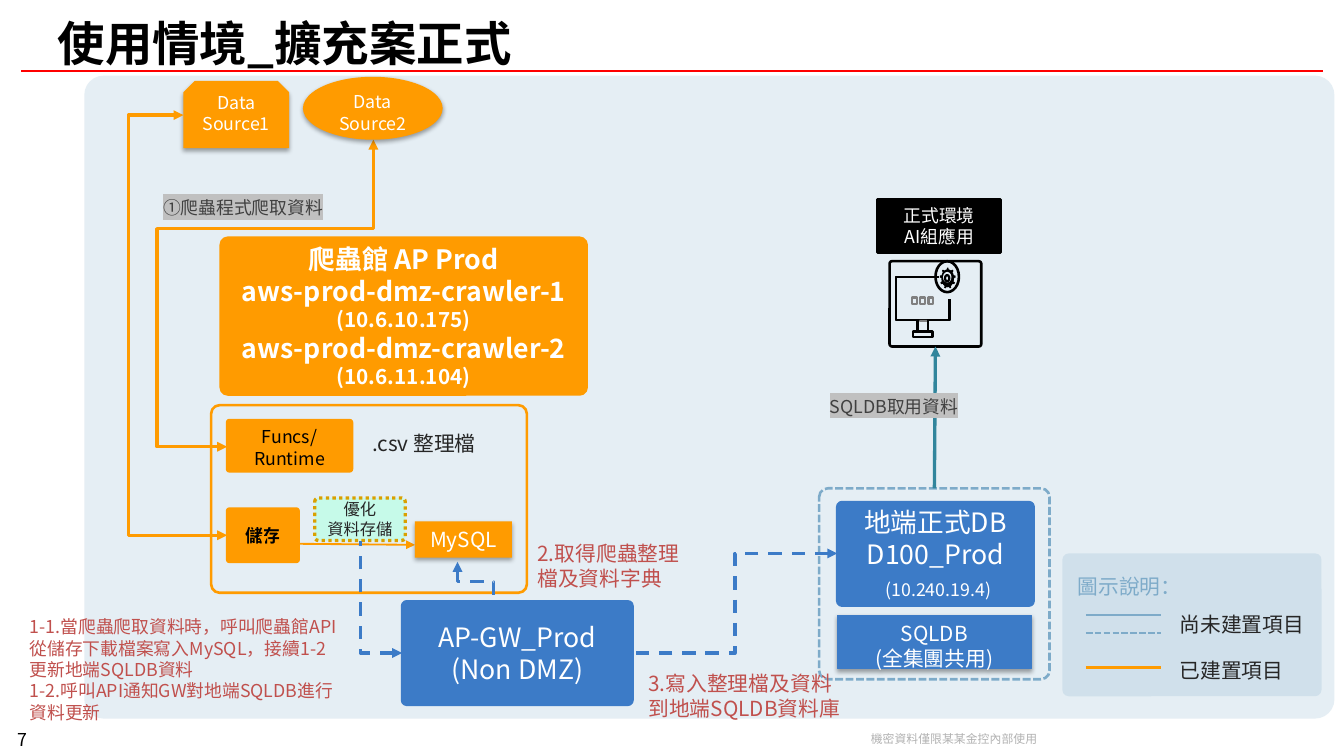
from lxml import etree
from pptx import Presentation
from pptx.dml.color import RGBColor
from pptx.enum.dml import MSO_LINE
from pptx.enum.shapes import MSO_CONNECTOR, MSO_SHAPE
from pptx.enum.text import MSO_ANCHOR, PP_ALIGN
from pptx.oxml.ns import qn
from pptx.util import Inches, Pt

UNIT = Inches(0.1)
COLUMNS, ROWS = 126, 70.9
FONT = "Noto Sans CJK SC"
ROUND, RECT, OVAL = MSO_SHAPE.ROUNDED_RECTANGLE, MSO_SHAPE.RECTANGLE, MSO_SHAPE.OVAL
SNIP, GEAR = MSO_SHAPE.SNIP_2_SAME_RECTANGLE, MSO_SHAPE.GEAR_9
STRAIGHT, ELBOW = MSO_CONNECTOR.STRAIGHT, MSO_CONNECTOR.ELBOW
DASH, SYS_DASH, DOT = MSO_LINE.DASH, MSO_LINE.SQUARE_DOT, MSO_LINE.ROUND_DOT
LEFT, CENTER = PP_ALIGN.LEFT, PP_ALIGN.CENTER
TOP, MIDDLE, BOTTOM = MSO_ANCHOR.TOP, MSO_ANCHOR.MIDDLE, MSO_ANCHOR.BOTTOM
BLACK, WHITE = RGBColor(0, 0, 0), RGBColor(255, 255, 255)
RED, BRICK = RGBColor(255, 0, 0), RGBColor(0xC0, 0x50, 0x4D)
ORANGE, GOLD = RGBColor(0xFF, 0x9B, 0x00), RGBColor(0xD9, 0xA0, 0x00)
BLUE, STEEL = RGBColor(0x3C, 0x7B, 0xC7), RGBColor(0x7E, 0xAB, 0xC9)
PALE, MINT = RGBColor(0xE5, 0xEE, 0xF4), RGBColor(0xC6, 0xFA, 0xE9)
TEAL, INK = RGBColor(0x31, 0x85, 0x9C), RGBColor(0x26, 0x26, 0x26)
SLATE, GRAY = RGBColor(0x40, 0x40, 0x40), RGBColor(0x80, 0x80, 0x80)
FOOTER, MARKER = RGBColor(0xB2, 0xB2, 0xB2), RGBColor(0xC0, 0xC0, 0xC0)


def units(*values):
    """Turn grid units into EMU."""
    return [round(v * UNIT) for v in values]


def within(box, left, top, width, height):
    """Place a cell relative to the corner of a box."""
    return box[0] + left, box[1] + top, width, height


def add_color(parent, tag, color, alpha=None):
    """Append a colour-holding element to a parent."""
    holder = etree.SubElement(parent, qn(tag))
    value = etree.SubElement(holder, qn("a:srgbClr"), val=str(color))
    if alpha:
        etree.SubElement(value, qn("a:alpha"), val=str(alpha))
    return holder


def write(frame, paragraphs, color, size=12, bold=False, align=CENTER, anchor=TOP, wrap=True, mark=None):
    """Fill a text frame; a paragraph is a text or a list of (text, size) runs."""
    frame.word_wrap, frame.vertical_anchor = wrap, anchor
    for i, content in enumerate(paragraphs):
        paragraph = frame.add_paragraph() if i else frame.paragraphs[0]
        paragraph.alignment = align
        for text, points in [(content, size)] if isinstance(content, str) else content:
            for j, line in enumerate(text.split("\n")):
                if j:
                    paragraph.add_line_break()
                if not line:
                    continue
                run = paragraph.add_run()
                run.text = line
                run.font.size, run.font.bold = Pt(points), bold
                run.font.color.rgb = color
                props = run.font._element
                if mark:
                    add_color(props, "a:highlight", mark)
                run.font.name = FONT
                etree.SubElement(props, qn("a:ea"), typeface=FONT)


def label(slide, cell, paragraphs, color, size=12, **style):
    """Add a text box."""
    write(slide.shapes.add_textbox(*units(*cell)).text_frame, paragraphs, color, size, **style)


def outline(shape, color, width, dash=None):
    """Set the line of a shape or connector."""
    shape.line.color.rgb, shape.line.width = color, Pt(width)
    if dash:
        shape.line.dash_style = dash


def block(slide, kind, cell, fill=None, line=None, width=1.75, dash=None, radius=0.045, shadow=False):
    """Add a preset shape with its fill, line and optional shadow."""
    shape = slide.shapes.add_shape(kind, *units(*cell))
    shape.shadow.inherit = False
    if kind == ROUND:
        shape.adjustments[0] = radius
    if fill is None:
        shape.fill.background()
    else:
        shape.fill.solid()
        shape.fill.fore_color.rgb = fill
    if line is None:
        shape.line.fill.background()
    else:
        outline(shape, line, width, dash)
    if shadow:
        effects = shape._element.spPr.find(qn("a:effectLst"))
        cast = add_color(effects, "a:outerShdw", BLACK, 35000)
        for key, value in (("blurRad", Pt(3.1)), ("dist", Pt(1.8)), ("dir", 5400000), ("rotWithShape", 0)):
            cast.set(key, str(value))
    return shape


def link(slide, start, end, color, width, dash=None, ends=(), bends=None, adjust=(), upright=False):
    """Add a straight or bent connector; upright ones leave vertically."""
    (x1, y1), (x2, y2) = start, end
    if upright:
        cx, cy, long, wide = (x1 + x2) / 2, (y1 + y2) / 2, abs(y2 - y1), abs(x2 - x1)
        corners = cx - long / 2, cy - wide / 2, cx + long / 2, cy + wide / 2
    else:
        corners = x1, y1, x2, y2
    wire = slide.shapes.add_connector(ELBOW if bends else STRAIGHT, *units(*corners))
    props = wire._element.spPr
    if upright:
        props.xfrm.set("rot", "5400000" if x2 < x1 else "16200000")
        if x2 > x1:
            props.xfrm.set("flipH", "1")
    if bends:
        geometry = props.find(qn("a:prstGeom"))
        geometry.set("prst", f"bentConnector{bends}")
        guides = geometry.find(qn("a:avLst"))
        for i, share in enumerate(adjust, 1):
            etree.SubElement(guides, qn("a:gd"), name=f"adj{i}", fmla=f"val {round(share * 100000)}")
    outline(wire, color, width, dash)
    for tag in ends:
        etree.SubElement(props.find(qn("a:ln")), qn(tag), type="triangle")
    etree.SubElement(props, qn("a:effectLst"))
    return wire


def heading(slide, box):
    """Place the title, its red rule and the footer texts."""
    title = slide.shapes.title
    title.left, title.top, title.width, title.height = units(*within(box, 4.4, 0.7, 117.2, 6.6))
    write(title.text_frame, ["使用情境_擴充案正式"], BLACK, 32, bold=True, align=LEFT, anchor=MIDDLE)
    link(slide, (box[0] + 2, box[1] + 6.7), (box[0] + 124, box[1] + 6.7), RED, 1.25)
    label(slide, within(box, 0, 68.2, 4.2, 2.6), ["7"], BLACK, anchor=BOTTOM, wrap=False)
    label(slide, within(box, 80.5, 68.1, 17.9, 2.3), ["機密資料僅限某某金控內部使用"], FOOTER, 8, anchor=MIDDLE, wrap=False)


def legend(slide, box):
    """Place the key of line styles."""
    panel = block(slide, ROUND, box, STEEL)
    tint = panel._element.spPr.find(qn("a:solidFill"))[0]
    etree.SubElement(tint, qn("a:alpha"), val="20000")
    label(slide, within(box, 0.4, 1.4, 11.8, 5.7), ["圖示說明："], STEEL, 14, wrap=False)
    for top, color, dash in ((5.8, STEEL, None), (7.5, STEEL, SYS_DASH), (10.7, ORANGE, None)):
        x, y = box[0] + 2.2, box[1] + top
        link(slide, (x, y), (x + 7, y), color, 1.5, dash)
    for top, meaning in ((5, "尚未建置項目"), (9.3, "已建置項目")):
        label(slide, within(box, 10, top, 14.3, 3.4), [meaning], INK, 14, align=LEFT)


def crawler(slide, box):
    """Place the data sources, crawler hosts and storage."""
    x, y = box[:2]
    both = "a:headEnd", "a:tailEnd"
    link(slide, (x + 23, y + 5.9), (x + 9.3, y + 34.7), ORANGE, 2.25, ends=both, bends=4, adjust=(0.29, 1.48), upright=True)
    functions = block(slide, ROUND, within(box, 9.3, 32.2, 11.7, 4.8), ORANGE, ORANGE)
    write(functions.text_frame, ["Funcs/\nRuntime"], BLACK)
    storage = block(slide, ROUND, within(box, 9.3, 40.5, 6.7, 5), ORANGE, ORANGE)
    write(storage.text_frame, ["儲存"], BLACK, bold=True, anchor=MIDDLE)
    hosts = block(slide, ROUND, within(box, 8.7, 15.1, 34.3, 14.7), ORANGE, ORANGE)
    write(hosts.text_frame, [[("爬蟲館 AP Prod\naws-prod-dmz-crawler-1 ", 18), ("(10.6.10.175)\n", 14),
                              ("aws-prod-dmz-crawler-2 ", 18), ("(10.6.11.104)", 14)]], WHITE, bold=True, anchor=MIDDLE)
    for kind, cell, source in ((OVAL, (16.4, 0, 13.1, 5.9), "Source2"), (SNIP, (5.2, 0.4, 9.9, 6.3), "Source1")):
        write(block(slide, kind, within(box, *cell), ORANGE, shadow=True).text_frame, ["Data", source], WHITE)
    link(slide, (x + 5.2, y + 3.6), (x + 9.3, y + 43), ORANGE, 2.25, ends=both, bends=3, adjust=(-1.26,))
    label(slide, within(box, 2.3, 10.8, 17.9, 3), ["①爬蟲程式爬取資料"], SLATE, align=LEFT, mark=MARKER)
    for start, end in (((12.7, 40.5), (12.7, 43.9)), ((16.1, 43.8), (26.9, 43.9))):
        link(slide, (x + start[0], y + start[1]), (x + end[0], y + end[1]), ORANGE, 1.25, ends=["a:tailEnd"])
    database = block(slide, RECT, within(box, 26.9, 41.7, 9.1, 3.4), ORANGE, shadow=True)
    write(database.text_frame, ["MySQL"], WHITE, 14)
    tuning = block(slide, ROUND, within(box, 17.5, 39.5, 8.5, 4), MINT, GOLD, 2.25, DOT, 0.09)
    write(tuning.text_frame, ["優化", "資料存儲"], INK, 11, anchor=MIDDLE)
    block(slide, ROUND, within(box, 7.8, 30.8, 29.6, 17.6), line=ORANGE)
    label(slide, within(box, 21.6, 32.7, 12.3, 3.4), [".csv 整理檔"], INK, 14)


def local_database(slide, box):
    """Place the on-premises databases and return their frame."""
    frame = block(slide, ROUND, box, line=STEEL, dash=SYS_DASH)
    server = block(slide, ROUND, within(box, 1.7, 1.3, 18.4, 9.7), BLUE, BLUE)
    write(server.text_frame, [[("地端正式DB\nD100_Prod\n ", 18), ("(10.240.19.4)", 12)]], WHITE, anchor=MIDDLE)
    shared = block(slide, RECT, within(box, 1.7, 11.9, 18.2, 5), BLUE, BLUE, 0.75, shadow=True)
    write(shared.text_frame, ["SQLDB", "(全集團共用)"], WHITE, 14)
    return frame


def ai_application(slide, box):
    """Place the application label and computer icon and return the icon frame."""
    frame = block(slide, ROUND, within(box, 1.1, 5.8, 8.6, 8), line=BLACK, radius=0.03)
    caption = block(slide, RECT, within(box, 0, 0, 11.5, 5), BLACK, BLACK, 2)
    write(caption.text_frame, ["正式環境\nAI組應用"], WHITE)
    strokes = (((4.1, 7.3), (1.6, 7.3), (1.6, 11.7), (5.7, 11.7)), ((6.1, 11.7), (6.9, 11.7), (6.9, 8.8)),
               ((5.3, 7.7), (1.9, 7.7), (1.9, 11), (6.5, 11), (6.5, 8.9)), ((4.5, 7.3), (5.3, 7.3)),
               ((3.9, 11.8), (3.8, 12.3)), ((4.5, 11.8), (4.6, 12.3)))
    for stroke in strokes:
        points = [(box[0] + px, box[1] + py) for px, py in stroke]
        builder = slide.shapes.build_freeform(*points[0], scale=UNIT)
        builder.add_line_segments(points[1:], close=False)
        edge = builder.convert_to_shape()
        edge.shadow.inherit = False
        edge.fill.background()
        outline(edge, BLACK, 1.75)
    block(slide, RECT, within(box, 3.3, 12.4, 1.8, 0.5), line=BLACK)
    block(slide, RECT, within(box, 3.9, 11.3, 0.7, 0.2), GRAY)
    for key in range(3):
        block(slide, RECT, within(box, 3.2 + 0.78 * key, 9.2, 0.45, 0.6), line=GRAY, width=1.5)
    block(slide, OVAL, within(box, 5.4, 5.8, 2.2, 2.9), line=BLACK)
    block(slide, GEAR, within(box, 5.8, 6.4, 1.5, 2), BLACK)
    block(slide, OVAL, within(box, 6.1, 6.8, 0.8, 1), PALE)
    block(slide, OVAL, within(box, 6.3, 7.1, 0.4, 0.6), line=BLACK, width=1.5)
    return frame


def gateway(slide, box):
    """Place the gateway and the dashed flows around it."""
    x, y, width, height = box
    middle = y + height / 2
    head = ["a:headEnd"]
    link(slide, (x, middle), (x - 3.9, y - 5.7), BLUE, 2.25, DASH, head, bends=2)
    link(slide, (x + 40.8, y - 4.5), (x + width, middle), BLUE, 2.25, DASH, head, bends=3, adjust=(0.5,))
    link(slide, (x + 5.2, y - 3.7), (x + 8.6, y), BLUE, 2.25, DASH, head, bends=3, adjust=(0.5,), upright=True)
    write(block(slide, ROUND, box, BLUE, BLUE).text_frame, ["AP-GW_Prod\n(Non DMZ)"], WHITE, 18, anchor=MIDDLE)
    notes = (((11.7, -6.2, 16.2, 5.7), 14, "2.取得爬蟲整理檔及資料字典"),
             ((-35.9, 0.9, 31.1, 11.1), 12, "1-1.當爬蟲爬取資料時，呼叫爬蟲館API從儲存下載檔案寫入MySQL，接續1-2更新地端SQLDB資料\n"
              "1-2.呼叫API通知GW對地端SQLDB進行資料更新"),
             ((22.1, 6, 20.6, 5.7), 14, "3.寫入整理檔及資料到地端SQLDB資料庫"))
    for cell, size, step in notes:
        label(slide, within(box, *cell), [step], BRICK, size, align=LEFT)


def main():
    """Build and save the slide."""
    deck = Presentation()
    deck.slide_width, deck.slide_height = units(COLUMNS, ROWS)
    slide = deck.slides.add_slide(deck.slide_layouts[5])
    heading(slide, (0, 0, COLUMNS, ROWS))
    block(slide, ROUND, (7.9, 7.1, 117.2, 60.3), PALE, radius=0.03)
    legend(slide, (99.6, 51.9, 24.3, 13.4))
    crawler(slide, (12, 7.2, 43, 48.4))
    database = local_database(slide, (76.8, 45.8, 21.6, 17.9))
    application = ai_application(slide, (82.3, 18.7, 11.5, 13.8))
    access = link(slide, (87.6, 45.8), (87.7, 32.5), TEAL, 2.25, ends=["a:tailEnd"])
    access.begin_connect(database, 0)
    access.end_connect(application, 2)
    label(slide, (76.8, 36.6, 17.9, 3), ["SQLDB取用資料"], SLATE, align=LEFT, mark=MARKER)
    gateway(slide, (37.7, 56.4, 21.6, 9.7))
    deck.save("out.pptx")


if __name__ == "__main__":
    main()
